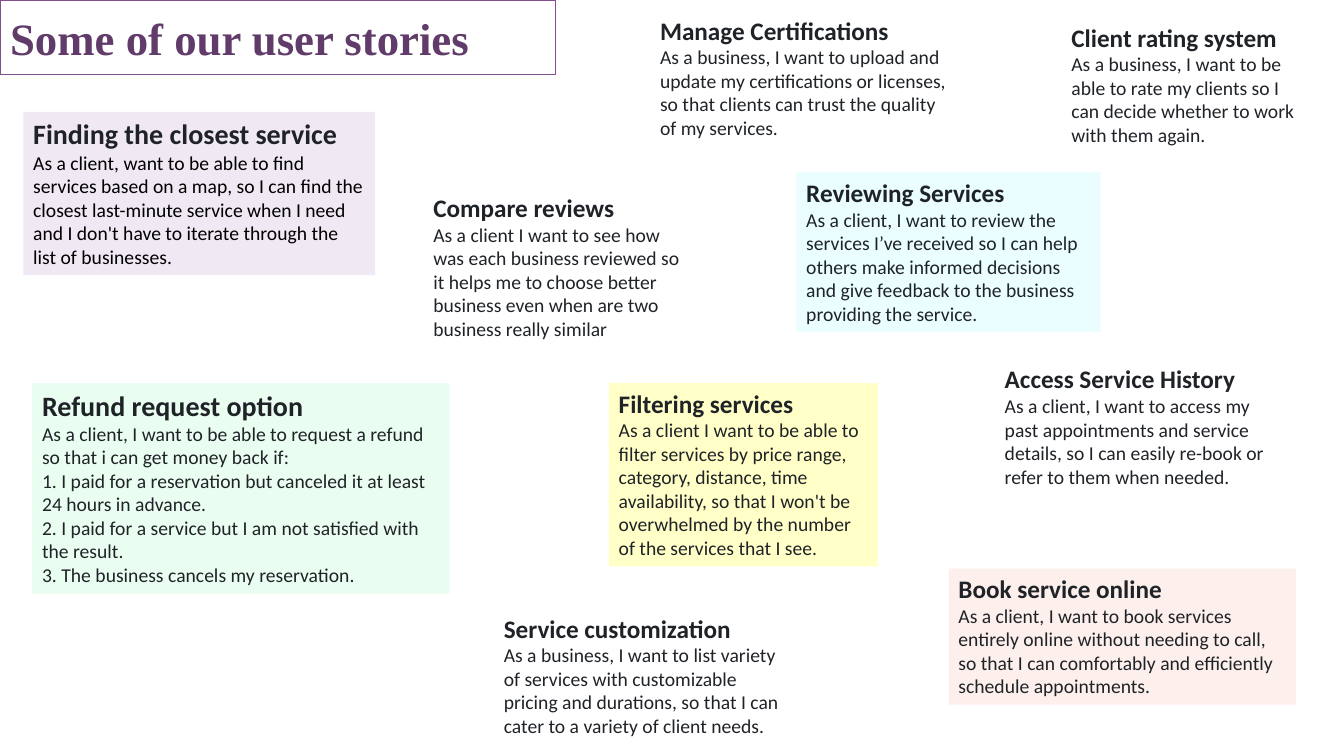
from lxml.etree import SubElement
from pptx import Presentation
from pptx.enum.text import MSO_ANCHOR, MSO_AUTO_SIZE, PP_ALIGN
from pptx.dml.color import RGBColor
from pptx.oxml.ns import qn
from pptx.util import Pt

INK = "1F2328"


def paint(fill, color, opacity=100):
    """Make a shape, line or font fill solid, with opacity in percent."""
    fill.solid()
    fill.fore_color.rgb = RGBColor.from_string(color)
    if opacity < 100:
        color_element = fill._xPr.find(qn("a:solidFill"))[0]
        SubElement(color_element, qn("a:alpha"), val=str(opacity * 1000))


def write(paragraph, text, size=14, color=INK, bold=False, font="Calibri", numbered=False):
    paragraph.alignment = PP_ALIGN.LEFT
    if numbered:
        properties = paragraph._p.get_or_add_pPr()
        properties.set("marL", "0")
        properties.set("indent", "0")
        SubElement(properties, qn("a:buFont"), typeface="+mj-lt")
        SubElement(properties, qn("a:buAutoNum"), type="arabicPeriod")
    run = paragraph.add_run()
    run.text = text
    run.font.name = font
    run.font.size = Pt(size)
    run.font.bold = bold
    paint(run.font.fill, color)


presentation = Presentation()
presentation.slide_width, presentation.slide_height = Pt(960), Pt(540)
slide = presentation.slides.add_slide(presentation.slide_layouts[5])

title = slide.shapes.title
title.left, title.top, title.width, title.height = Pt(0), Pt(0), Pt(396.7), Pt(53.3)
paint(title.fill, "FFFFFF")
paint(title.line.fill, "824F8C")
title.line.width = Pt(1)
title.text_frame.auto_size = MSO_AUTO_SIZE.NONE
title.text_frame.vertical_anchor = MSO_ANCHOR.MIDDLE
write(title.text_frame.paragraphs[0], "Some of our user stories",
      size=32, color="613B69", bold=True, font="Times New Roman")

# left, top, width, height; background and its opacity; heading size; text colour; heading; story
stories = [
    ((16.6, 79.9, 251.3, 116.6), ("E7DAEA", 61), 20, "000000", "Finding the closest service",
     "As a client, want to be able to find services based on a map, so I can find the closest "
     "last-minute service when I need and I don't have to iterate through the list of businesses."),
    ((677.5, 406.1, 248.4, 97.2), ("FADAD3", 41), 18, INK, "Book service online",
     "As a client, I want to book services entirely online without needing to call, so that I can "
     "comfortably and efficiently schedule appointments."),
    ((464.4, 7.2, 226.1, 97.2), None, 18, INK, "Manage Certifications",
     "As a business, I want to upload and update my certifications or licenses, so that clients "
     "can trust the quality of my services."),
    ((758.2, 12.2, 179.3, 97.2), None, 18, INK, "Client rating system",
     "As a business, I want to be able to rate my clients so I can decide whether to work with "
     "them again."),
    ((434.9, 273.6, 192.2, 131), ("FFFF00", 22), 18, INK, "Filtering services",
     "As a client I want to be able to filter services by price range, category, distance, time "
     "availability, so that I won't be overwhelmed by the number of the services that I see."),
    ((23, 273.6, 298.1, 150.5), ("BDFBD3", 31), 20, INK, "Refund request option",
     "As a client, I want to be able to request a refund so that i can get money back if:"),
    ((352.8, 434.2, 211.7, 97.2), None, 18, INK, "Service customization",
     "As a business, I want to list variety of services with customizable pricing and durations, "
     "so that I can cater to a variety of client needs."),
    ((710.6, 256.3, 215.3, 97.2), None, 18, INK, "Access Service History",
     "As a client, I want to access my past appointments and service details, so I can easily "
     "re-book or refer to them when needed."),
    ((302.4, 133.9, 193, 113.8), None, 18, INK, "Compare reviews",
     "As a client I want to see how was each business reviewed so it helps me to choose better "
     "business even when are two business really similar"),
    ((568.8, 123.1, 217.4, 113.8), ("BBFDFF", 30), 18, INK, "Reviewing Services",
     "As a client, I want to review the services I’ve received so I can help others make informed "
     "decisions and give feedback to the business providing the service."),
]
refund_reasons = [
    " I paid for a reservation but canceled it at least 24 hours in advance.",
    " I paid for a service but I am not satisfied with the result.",
    " The business cancels my reservation.",
]

for place, background, heading_size, story_color, heading, story in stories:
    card = slide.shapes.add_textbox(*map(Pt, place))
    if background:
        paint(card.fill, *background)
    frame = card.text_frame
    frame.word_wrap = True
    frame.auto_size = MSO_AUTO_SIZE.SHAPE_TO_FIT_TEXT
    write(frame.paragraphs[0], heading, size=heading_size, bold=True)
    write(frame.add_paragraph(), story, color=story_color)
    if heading == "Refund request option":
        for reason in refund_reasons:
            write(frame.add_paragraph(), reason, numbered=True)

presentation.save("out.pptx")
